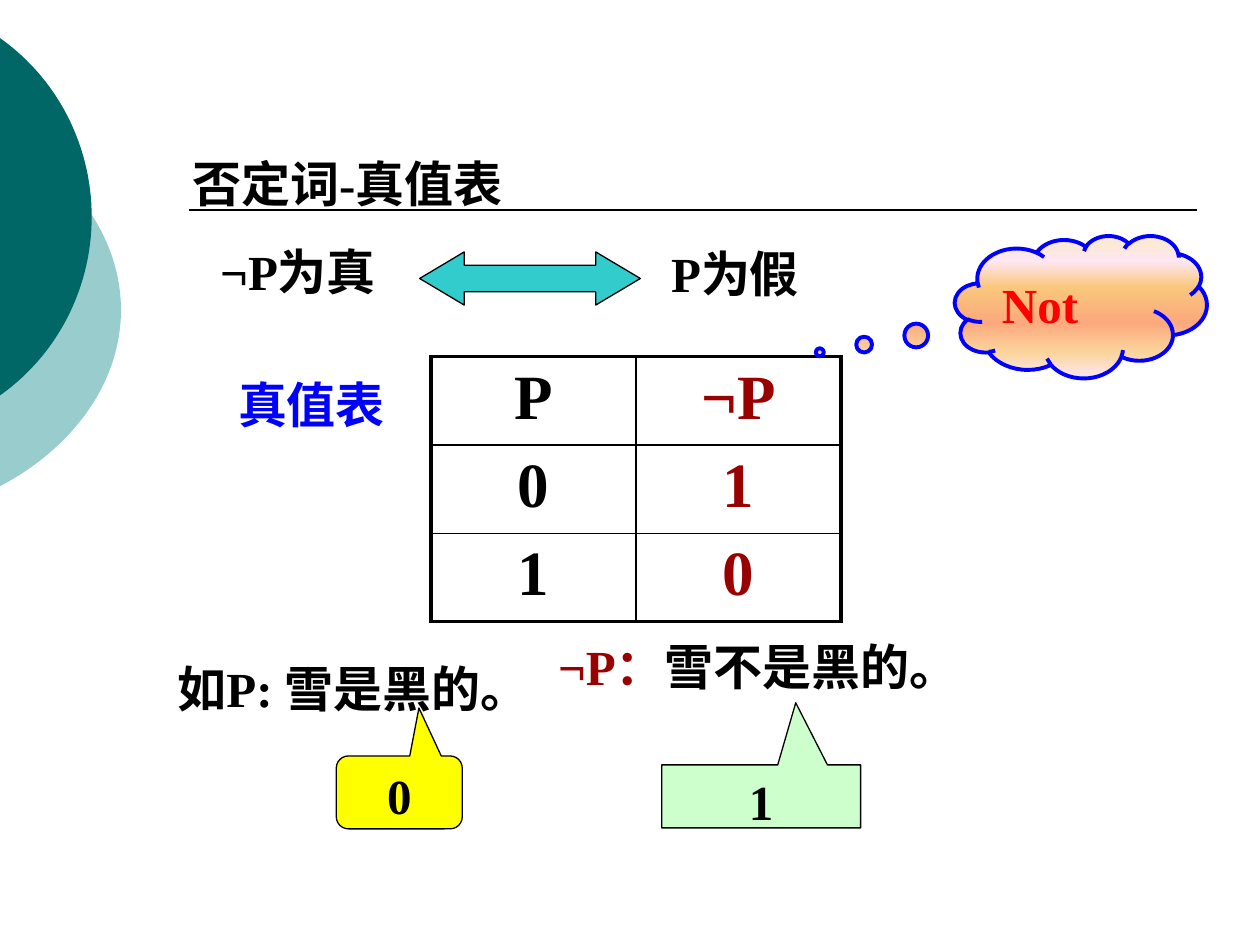
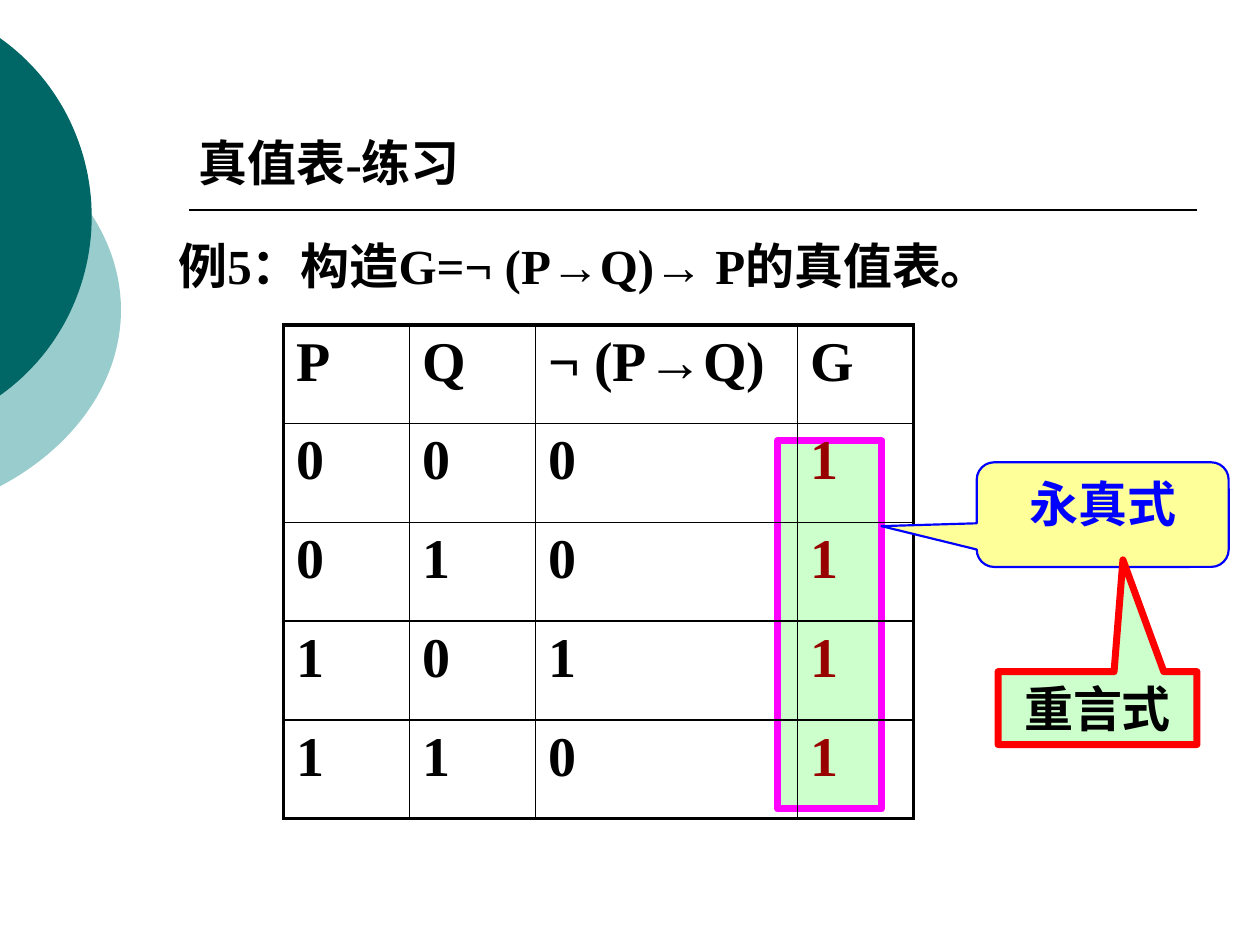
from math import acos, cos, sin

from lxml.etree import SubElement
from pptx import Presentation
from pptx.dml.color import RGBColor
from pptx.enum.shapes import MSO_CONNECTOR, MSO_SHAPE
from pptx.enum.text import MSO_ANCHOR, PP_ALIGN
from pptx.oxml.ns import qn
from pptx.util import Cm, Pt

FONT = "Times New Roman"
COLORS = {
    "black": "000000", "blue": "0000FF", "red": "FF0000", "dark red": "990000",
    "magenta": "FF00FF", "yellow": "FFFF00", "pale yellow": "FFFF99",
    "pale green": "CCFFCC", "turquoise": "33CCCC",
    "teal": "006666", "pale teal": "99CCCC",
}
CLOUD_STOPS = [(0, "FBEAC7"), (18, "FEE7F2"), (36, "FAC77D"),
               (61, "FBA97D"), (82, "FBD49C"), (100, "FEE7F2")]

DISCS = [
    {"center": (-3.28, 6.25), "radii": (5.72, 4.34), "fill": "pale teal"},
    {"center": (-2.44, 4.37), "radii": (4.29, 4.38), "fill": "teal"},
]
TITLE_RULE = (3.81, 4.24, 24.13, 4.24)
TEXT_HEIGHT = 1.45

NEGATION = {
    "texts": [
        {"runs": [("否定词-真值表", "black")], "at": (3.63, 2.97, 8.94)},
        {"runs": [("¬P为真", "black")], "at": (4.19, 4.75, 5.77)},
        {"runs": [("P为假", "black")], "at": (13.28, 4.78, 5.97)},
        {"runs": [("真值表", "blue")], "at": (4.55, 7.42, 3.51), "wrap": False},
        {"runs": [("如P: 雪是黑的。", "black")], "at": (3.33, 13.16, 7.7)},
        {"runs": [("¬P：", "dark red"), ("雪不是黑的。", "black")], "at": (11, 12.7, 11.48)},
    ],
    "table": {
        "rows": [("P", "¬P"), ("0", "1"), ("1", "0")],
        "at": (8.69, 7.19), "widths": (4.13, 4.13), "row height": 1.78,
        "size": 36, "align": PP_ALIGN.CENTER, "result from row": 0,
    },
    "shapes": [
        {"kind": MSO_SHAPE.LEFT_RIGHT_ARROW, "at": (8.46, 5.08, 4.45, 1.07),
         "adjust": (0.5, 0.84), "fill": "turquoise", "line": ("black", 0.75)},
        {"kind": MSO_SHAPE.ROUNDED_RECTANGULAR_CALLOUT, "at": (6.78, 15.24, 2.54, 1.47),
         "adjust": (0.156, -1.158, 0.167), "fill": "yellow", "line": ("black", 0.75),
         "runs": [("0", "black")]},
        {"kind": MSO_SHAPE.RECTANGULAR_CALLOUT, "at": (13.34, 15.42, 4.01, 1.27),
         "adjust": (0.174, -1.486), "fill": "pale green", "line": ("black", 0.75),
         "runs": [("1", "black")]},
        {"kind": MSO_SHAPE.CLOUD_CALLOUT, "at": (19.25, 4.75, 5.08, 2.87),
         "adjust": (-1.036, 0.32), "fill": CLOUD_STOPS, "line": ("blue", 2.25),
         "runs": [("Not", "red")], "align": PP_ALIGN.LEFT,
         "anchor": MSO_ANCHOR.MIDDLE, "wrap": False},
    ],
}

EXERCISE = {
    "highlight": {"kind": MSO_SHAPE.RECTANGLE, "at": (15.67, 8.89, 2.11, 7.42),
                  "fill": "pale green", "line": ("magenta", 4)},
    "texts": [
        {"runs": [("真值表-练习", "black")], "at": (3.76, 2.54, 11.68)},
        {"runs": [("例5：构造G=¬ (P→Q)→ P的真值表。", "black")], "at": (3.35, 4.62, 21.21)},
    ],
    "table": {
        "rows": [("P", "Q", "¬ (P→Q)", "G"),
                 ("0", "0", "0", "1"), ("0", "1", "0", "1"),
                 ("1", "0", "1", "1"), ("1", "1", "0", "1")],
        "at": (5.72, 6.55), "widths": (2.54, 2.54, 5.28, 2.34), "row height": 1.99,
        "size": 32, "align": PP_ALIGN.LEFT, "result from row": 1,
    },
    "shapes": [
        {"kind": MSO_SHAPE.ROUNDED_RECTANGULAR_CALLOUT, "at": (19.69, 9.32, 5.08, 2.11),
         "adjust": (-0.878, 0.11, 0.167), "fill": "pale yellow", "line": ("blue", 1.25),
         "runs": [("永真式", "blue")]},
        {"kind": MSO_SHAPE.RECTANGULAR_CALLOUT, "at": (20.12, 13.54, 4.01, 1.47),
         "adjust": (0.128, -2.033), "fill": "pale green", "line": ("red", 4),
         "runs": [("重言式", "black")], "anchor": MSO_ANCHOR.MIDDLE},
    ],
}


def rgb(name):
    return RGBColor.from_string(COLORS[name])


def lengths(values):
    return [Cm(value) for value in values]


def write(text_frame, runs, size=28, align=PP_ALIGN.LEFT, anchor=MSO_ANCHOR.TOP, wrap=True):
    text_frame.word_wrap = wrap
    text_frame.vertical_anchor = anchor
    paragraph = text_frame.paragraphs[0]
    paragraph.text = runs[0][0]
    for text, _ in runs[1:]:
        paragraph.add_run().text = text
    paragraph.alignment = align
    for run, (_, color) in zip(paragraph.runs, runs):
        run.font.name = FONT
        run.font.size = Pt(size)
        run.font.bold = True
        run.font.color.rgb = rgb(color)


def fill_with_stops(shape, stops):
    shape.fill.gradient()
    shape.fill.gradient_angle = 270
    stop_list = shape._element.spPr.find(qn("a:gradFill")).find(qn("a:gsLst"))
    for old_stop in list(stop_list):
        stop_list.remove(old_stop)
    for percent, color in stops:
        stop = SubElement(stop_list, qn("a:gs"), pos=str(percent * 1000))
        SubElement(stop, qn("a:srgbClr"), val=color)


def add_disc(slide, disc):
    (center_x, center_y), (radius_x, radius_y) = disc["center"], disc["radii"]
    limit = acos(-center_x / radius_x)
    steps = 60
    angles = [limit * (2 * step / steps - 1) for step in range(steps + 1)]
    points = [(Cm(center_x + radius_x * cos(angle)), Cm(center_y + radius_y * sin(angle)))
              for angle in angles]
    builder = slide.shapes.build_freeform(*points[0])
    builder.add_line_segments(points[1:], close=True)
    shape = builder.convert_to_shape()
    shape.shadow.inherit = False
    shape.fill.solid()
    shape.fill.fore_color.rgb = rgb(disc["fill"])
    shape.line.fill.background()


def add_background(slide):
    for disc in DISCS:
        add_disc(slide, disc)
    rule = slide.shapes.add_connector(MSO_CONNECTOR.STRAIGHT, *lengths(TITLE_RULE))
    rule.line.color.rgb = rgb("black")
    rule.line.width = Pt(1)
    SubElement(rule._element.spPr, qn("a:effectLst"))


def add_text(slide, item):
    box = slide.shapes.add_textbox(*lengths(item["at"] + (TEXT_HEIGHT,)))
    write(box.text_frame, item["runs"], wrap=item.get("wrap", True))


def add_figure(slide, item):
    shape = slide.shapes.add_shape(item["kind"], *lengths(item["at"]))
    shape.shadow.inherit = False
    for index, value in enumerate(item.get("adjust", ())):
        shape.adjustments[index] = value
    if isinstance(item["fill"], list):
        fill_with_stops(shape, item["fill"])
    else:
        shape.fill.solid()
        shape.fill.fore_color.rgb = rgb(item["fill"])
    color, width = item["line"]
    shape.line.color.rgb = rgb(color)
    shape.line.width = Pt(width)
    if "runs" in item:
        write(shape.text_frame, item["runs"], align=item.get("align", PP_ALIGN.CENTER),
              anchor=item.get("anchor", MSO_ANCHOR.TOP), wrap=item.get("wrap", True))


def add_borders(cell, outer_sides):
    properties = cell._tc.get_or_add_tcPr()
    for side in "LRTB":
        width = Pt(2.25 if side in outer_sides else 1)
        line = SubElement(properties, qn("a:ln" + side), w=str(width))
        fill = SubElement(line, qn("a:solidFill"))
        SubElement(fill, qn("a:srgbClr"), val=COLORS["black"])


def add_truth_table(slide, item):
    rows, widths = item["rows"], item["widths"]
    last_row, last_column = len(rows) - 1, len(widths) - 1
    size = (sum(widths), item["row height"] * len(rows))
    table = slide.shapes.add_table(len(rows), len(widths), *lengths(item["at"] + size)).table
    table.first_row = table.horz_banding = False
    for column, width in zip(table.columns, widths):
        column.width = Cm(width)
    for row_index, values in enumerate(rows):
        table.rows[row_index].height = Cm(item["row height"])
        for column_index, value in enumerate(values):
            cell = table.cell(row_index, column_index)
            is_result = column_index == last_column and row_index >= item["result from row"]
            write(cell.text_frame, [(value, "dark red" if is_result else "black")],
                  item["size"], item["align"])
            edges = {"L": column_index == 0, "R": column_index == last_column,
                     "T": row_index == 0, "B": row_index == last_row}
            add_borders(cell, [side for side, outer in edges.items() if outer])
            cell.fill.background()


def main():
    presentation = Presentation()
    presentation.slide_width, presentation.slide_height = Cm(25.4), Cm(19.05)
    for content in (NEGATION, EXERCISE):
        slide = presentation.slides.add_slide(presentation.slide_layouts[6])
        add_background(slide)
        if "highlight" in content:
            add_figure(slide, content["highlight"])
        for item in content["texts"]:
            add_text(slide, item)
        add_truth_table(slide, content["table"])
        for item in content["shapes"]:
            add_figure(slide, item)
    presentation.save("out.pptx")


if __name__ == "__main__":
    main()
